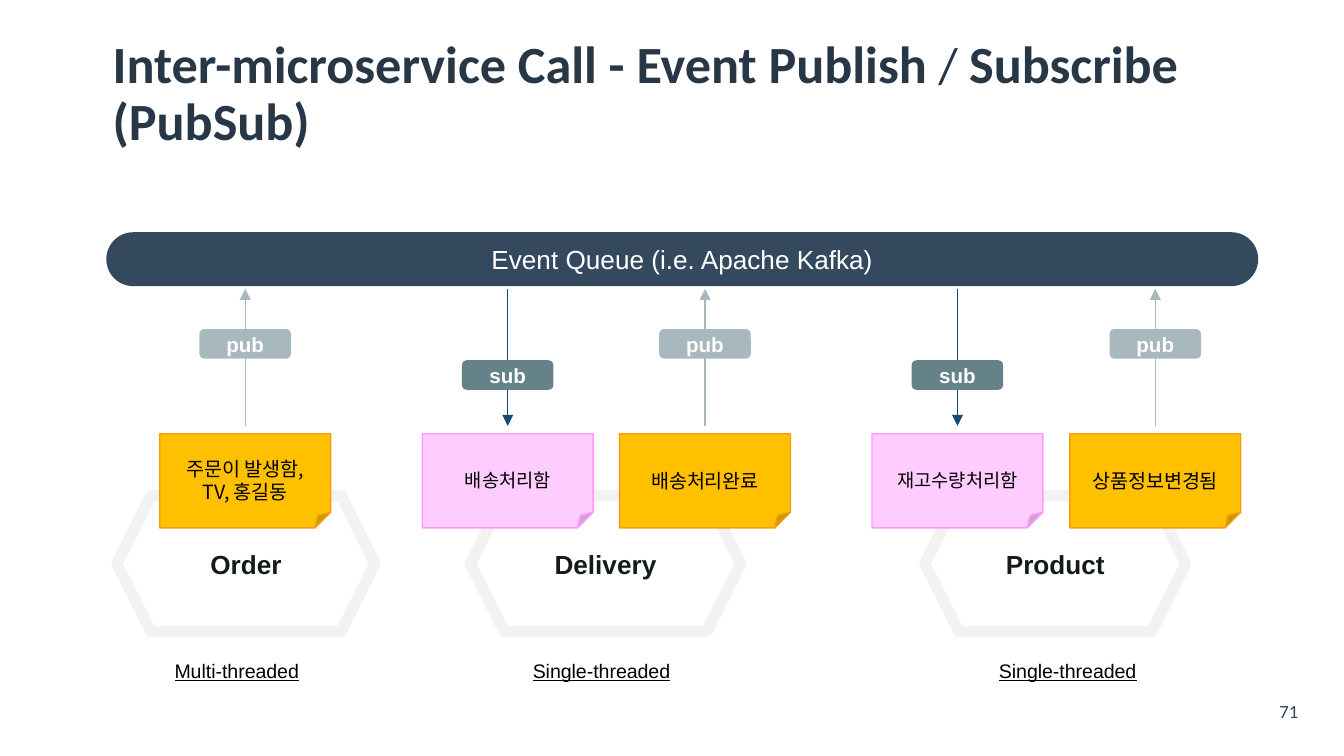
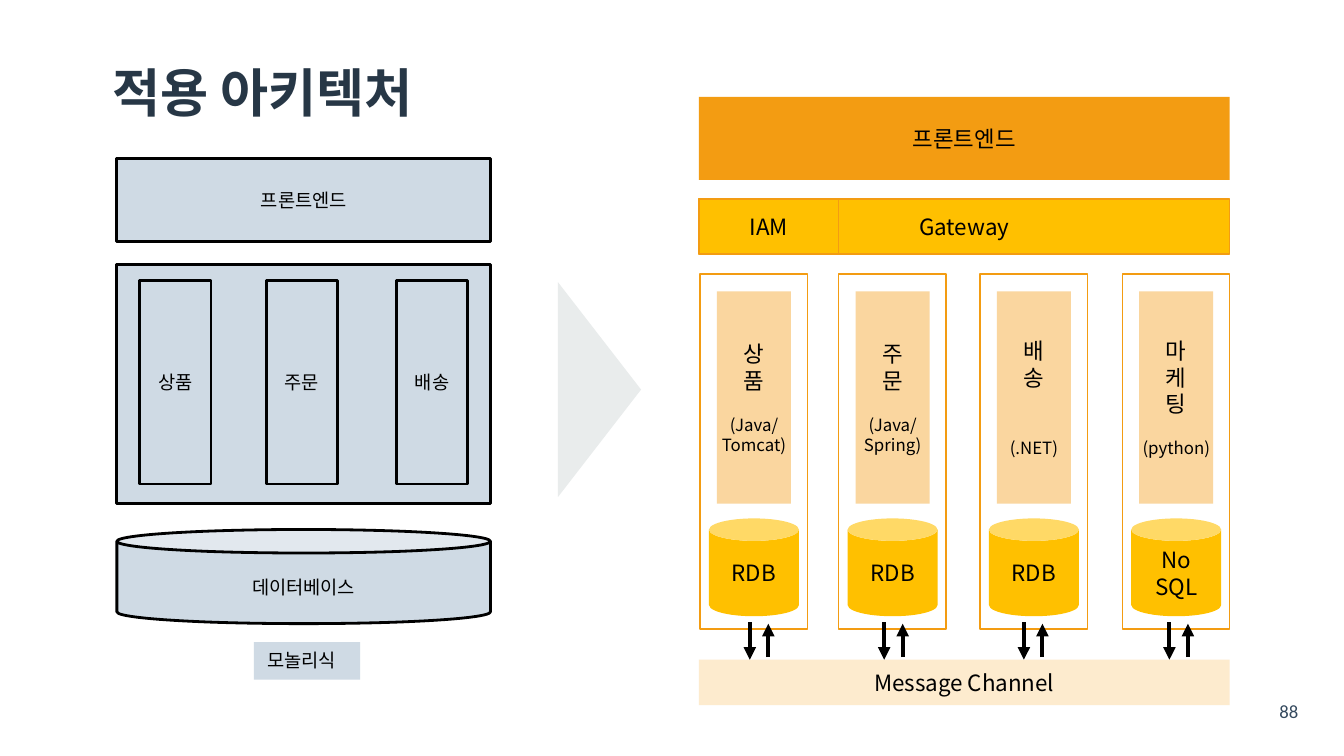
"""Build two slides on event-driven microservice architecture."""
from lxml import etree
from pptx import Presentation
from pptx.dml.color import RGBColor
from pptx.enum.shapes import MSO_CONNECTOR, MSO_SHAPE
from pptx.enum.text import MSO_ANCHOR, MSO_AUTO_SIZE, PP_ALIGN
from pptx.oxml.ns import qn
from pptx.util import Cm, Pt

RECT, ROUNDED = MSO_SHAPE.RECTANGLE, MSO_SHAPE.ROUNDED_RECTANGLE
HEXAGON, TRIANGLE = MSO_SHAPE.HEXAGON, MSO_SHAPE.ISOSCELES_TRIANGLE
NOTE, CAN = MSO_SHAPE.FOLDED_CORNER, MSO_SHAPE.CAN
STRAIGHT = MSO_CONNECTOR.STRAIGHT
LEFT, CENTER = PP_ALIGN.LEFT, PP_ALIGN.CENTER
TOP, MIDDLE = MSO_ANCHOR.TOP, MSO_ANCHOR.MIDDLE
NO_FIT = MSO_AUTO_SIZE.NONE

TITLE_ONLY = 5
KOREAN = "Noto Sans CJK KR"
BLACK, WHITE, NAVY, INK = "000000", "FFFFFF", "34495E", "273746"
ORANGE, AMBER, PEACH, CREAM = "F39C12", "FFC000", "FAD69F", "FDEBCE"
PINK, PINK_EDGE, MIST, GREY = "FFCCFF", "FF99FF", "CFDAE4", "F2F2F2"
PUB, SUB, SUB_ARROW, PALE = "A7B9BE", "658289", "144D73", "E9ECEC"
INSETS = (0.25, 0.13, 0.25, 0.13)


def paint(fill, color):
    """Make a fill solid in a hex colour, or empty when there is none."""
    if color is None:
        fill.background()
    else:
        fill.solid()
        fill.fore_color.rgb = RGBColor.from_string(color)


def apply(target, values):
    """Set every attribute in a dict of format values."""
    for name, value in values.items():
        setattr(target, name, value)


def style_span(span, size, color=BLACK, name=KOREAN, **more):
    """Format one run, with a Korean face for East Asian letters."""
    apply(span.font, {"size": Pt(size), "name": name, **more})
    paint(span.font.fill, color)
    properties = span.font._element
    etree.SubElement(properties, qn("a:ea")).set("typeface", KOREAN)


def set_frame(frame, insets=INSETS, anchor=MIDDLE, wrap=True):
    """Set the insets, anchor and wrapping of a text frame."""
    left, top, right, bottom = (Cm(inset) for inset in insets)
    apply(frame, {"margin_left": left, "margin_top": top,
                  "margin_right": right, "margin_bottom": bottom,
                  "vertical_anchor": anchor, "word_wrap": wrap,
                  "auto_size": NO_FIT})


def write(box, text, size, align=CENTER, insets=INSETS, anchor=MIDDLE,
          wrap=True, **style):
    """Write text in one style; each line is a paragraph."""
    frame = box.text_frame
    set_frame(frame, insets, anchor, wrap)
    frame.text = text
    for paragraph in frame.paragraphs:
        paragraph.alignment = align
        for span in paragraph.runs:
            style_span(span, size, **style)
    return frame


def add_box(page, kind, place, fill=None, line=None, width=0.75):
    """Add a preset shape at a place in centimetres."""
    box = page.shapes.add_shape(kind, *(Cm(length) for length in place))
    box.shadow.inherit = False
    paint(box.fill, fill)
    paint(box.line.fill, line)
    if line:
        box.line.width = Pt(width)
    return box


def add_label(page, place, text, size, **style):
    """Add a plain text box."""
    box = page.shapes.add_textbox(*(Cm(length) for length in place))
    return write(box, text, size, **style)


def add_arrow(page, x, start, end, color, width):
    """Add a vertical arrow pointing from start to end."""
    arrow = page.shapes.add_connector(STRAIGHT, Cm(x), Cm(start), Cm(x), Cm(end))
    paint(arrow.line.fill, color)
    arrow.line.width = Pt(width)
    etree.SubElement(arrow.line._get_or_add_ln(), qn("a:tailEnd")).set("type", "triangle")
    etree.SubElement(arrow._element.spPr, qn("a:effectLst"))


def add_page(deck, title_spans, number):
    """Add a slide with its title and page number."""
    page = deck.slides.add_slide(deck.slide_layouts[TITLE_ONLY])
    title = page.shapes.title
    apply(title, {"left": Cm(1.88), "top": Cm(1.14),
                  "width": Cm(21.77), "height": Cm(1.32)})
    set_frame(title.text_frame)
    paragraph = title.text_frame.paragraphs[0]
    apply(paragraph, {"alignment": LEFT, "line_spacing": 0.9})
    for text, size, bold in title_spans:
        span = paragraph.add_run()
        span.text = text
        style_span(span, size, INK, "Calibri", bold=bold)
    frame = add_label(page, (23.65, 13.23, 1.42, 0.66), number, 10, color=NAVY,
                      name="Calibri", insets=(0.38, 0.18, 0.38, 0.18), anchor=TOP)
    frame.paragraphs[0].line_spacing = 0.5
    return page


def add_service(page, left, width, name, threading, label_left):
    """Add a service hexagon and its threading caption."""
    box = add_box(page, HEXAGON, (left, 9.37, width, 2.57), line=GREY, width=6)
    write(box, name, 14, color="141A1B", name="Arial", bold=True)
    add_label(page, (label_left, 12.33, 3.2, 0.74), threading, 10.5, align=LEFT,
              anchor=TOP, wrap=False, name="Arial", underline=True)


def add_event(page, left, text, publishes):
    """Add an event note with its arrow and pub or sub tag."""
    queue_side, note_side, note_width, tag_width = 5.46, 8.05, 3.23, 1.73
    center = left + note_width / 2
    if publishes:
        fill, edge, size = AMBER, ORANGE, 10.5
        tag, tag_top, tag_fill = "pub", 6.22, PUB
        add_arrow(page, center, note_side, queue_side, PUB, 0.75)
    else:
        fill, edge, size = PINK, PINK_EDGE, 10
        tag, tag_top, tag_fill = "sub", 6.81, SUB
        add_arrow(page, center, queue_side, note_side, SUB_ARROW, 0.75)
    note = add_box(page, NOTE, (left, 8.2, note_width, 1.78), fill, edge)
    write(note, text, size, insets=(0, 0.41, 0, 0.13))
    pill = add_box(page, ROUNDED, (center - tag_width / 2, tag_top, tag_width, 0.56), tag_fill)
    write(pill, tag, 11, color=WHITE, name="Arial", bold=True)


def add_pubsub_page(deck):
    """Build the publish and subscribe slide."""
    page = add_page(deck, [("Inter-microservice Call - Event Publish", 28, True),
                           (" / ", 27, False),
                           ("Subscribe (PubSub)", 28, True)], "71")
    queue = add_box(page, ROUNDED, (2.01, 4.39, 21.77, 1.02), NAVY)
    queue.adjustments[0] = 0.5
    write(queue, "Event Queue (i.e. Apache Kafka)", 14, color=WHITE, name="Arial")
    for service in ((2.21, 4.88, "Order", "Multi-threaded", 3.05),
                    (8.89, 5.11, "Delivery", "Single-threaded", 9.82),
                    (17.48, 4.93, "Product", "Single-threaded", 18.63)):
        add_service(page, *service)
    for event in ((3.02, "주문이 발생함,\nTV, 홍길동", True),
                  (7.98, "배송처리함", False),
                  (11.71, "배송처리완료", True),
                  (16.48, "재고수량처리함", False),
                  (20.22, "상품정보변경됨", True)):
        add_event(page, *event)


def add_monolith(page):
    """Draw the monolith: front end, modules and one database."""
    left, width = 2.21, 7.06
    add_box(page, RECT, (left, 5, width, 4.52), MIST, BLACK, 1.5)
    front = add_box(page, RECT, (left, 3, width, 1.57), MIST, BLACK, 1.5)
    write(front, "프론트엔드", 10)
    database = add_box(page, CAN, (left, 10.01, width, 1.78), MIST, BLACK, 1.5)
    write(database, "데이터베이스", 10, insets=(0.25, 0.3, 0.25, 0.13))
    for module_left, name in ((2.64, "상품"), (5.03, "주문"), (7.49, "배송")):
        module = add_box(page, RECT, (module_left, 5.31, 1.35, 3.84), MIST, BLACK, 1.5)
        write(module, name, 10)
    caption = add_box(page, RECT, (4.8, 12.14, 2.01, 0.71), MIST)
    write(caption, "모놀리식", 10, align=LEFT, anchor=TOP)


def add_microservice(page, left, name, runtime, gap, store, arrow_x):
    """Draw a microservice with its store and channel arrows."""
    add_box(page, RECT, (left, 5.18, 2.03, 6.71), WHITE, ORANGE)
    write(add_box(page, CAN, (left + 0.17, 9.8, 1.7, 1.85), AMBER), store, 12)
    module = add_box(page, RECT, (left + 0.32, 5.51, 1.4, 4.01), PEACH)
    frame = write(module, "\n".join(name), 12, insets=(0, 0, 0, 0))
    paragraph = frame.add_paragraph()
    paragraph.text = runtime
    apply(paragraph, {"alignment": CENTER, "space_before": Pt(gap)})
    for span in paragraph.runs:
        style_span(span, 9)
    add_arrow(page, arrow_x, 11.76, 12.47, BLACK, 2.25)
    add_arrow(page, arrow_x + 0.35, 12.42, 11.79, BLACK, 2.25)


def add_architecture_page(deck):
    """Build the slide from monolith to microservices."""
    page = add_page(deck, [("적용 아키텍처", 28, True)], "88")
    add_monolith(page)
    add_box(page, TRIANGLE, (9.3, 6.58, 4.06, 1.57), PALE).rotation = 90
    left, width = 13.21, 10.03
    for top, height, bar_width, fill, line, text in (
            (1.83, 1.57, width, ORANGE, None, "프론트엔드"),
            (3.76, 1.04, width, AMBER, ORANGE, "Gateway"),
            (3.76, 1.04, 2.64, AMBER, ORANGE, "IAM"),
            (12.47, 0.86, width, CREAM, None, "Message Channel")):
        bar = add_box(page, RECT, (left, top, bar_width, height), fill, line)
        write(bar, text, 12)
    for service in ((13.23, "상품", "(Java/\vTomcat)", 11, "RDB", 14.17),
                    (15.85, "주문", "(Java/\vSpring)", 11, "RDB", 16.71),
                    (18.52, "배송", "(.NET)", 25, "RDB", 19.35),
                    (21.21, "마케팅", "(python)", 11, "No\vSQL", 22.1)):
        add_microservice(page, *service)


def main():
    """Build and save the deck."""
    deck = Presentation()
    apply(deck, {"slide_width": Cm(25.4), "slide_height": Cm(14.29)})
    add_pubsub_page(deck)
    add_architecture_page(deck)
    deck.save("out.pptx")


if __name__ == "__main__":
    main()
